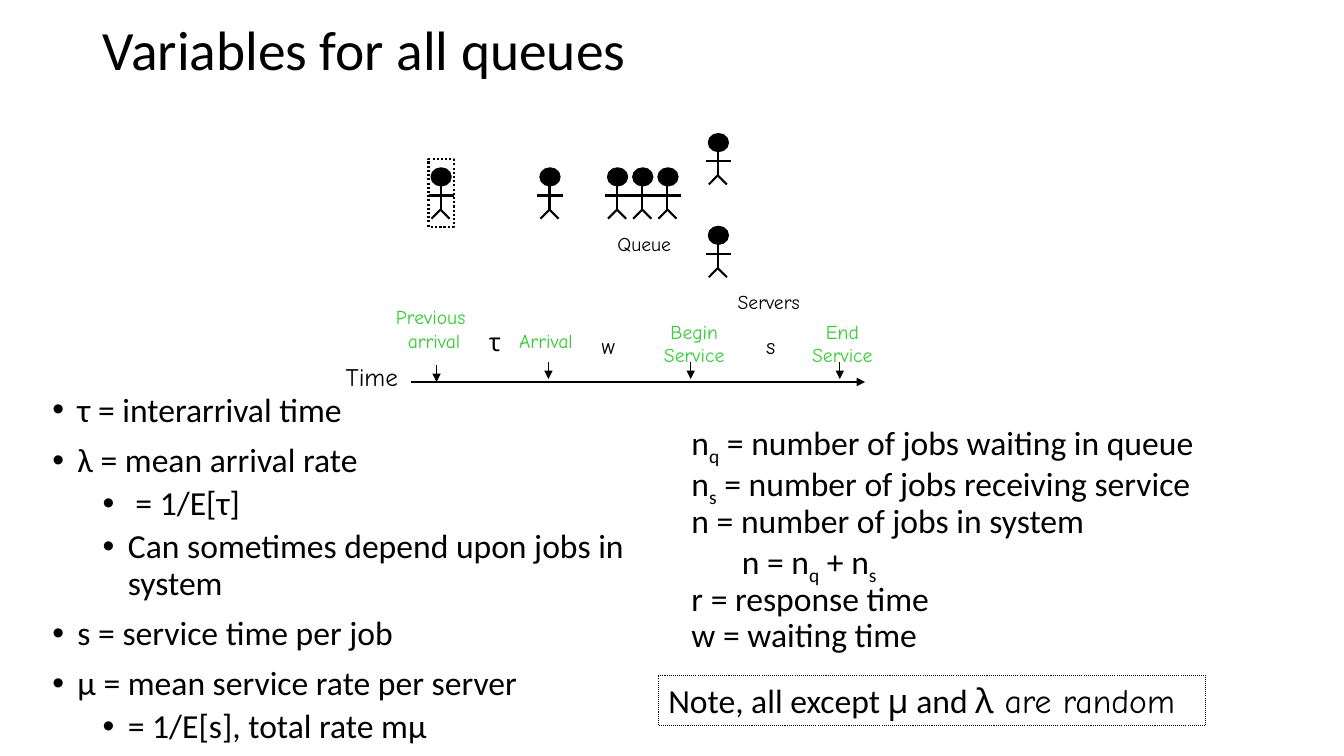
from dataclasses import dataclass

from lxml.etree import SubElement
from pptx import Presentation
from pptx.dml.color import RGBColor
from pptx.enum.dml import MSO_LINE
from pptx.enum.shapes import MSO_CONNECTOR, MSO_SHAPE
from pptx.enum.text import MSO_ANCHOR, PP_ALIGN
from pptx.oxml.ns import qn
from pptx.util import Inches, Pt

BODY, HAND = "Calibri", "Comic Neue"
BLACK, GREEN = "000000", "33CC33"


@dataclass
class Label:
    text: str
    x: float
    y: float
    w: float
    h: float
    size: float = 14
    color: str = BLACK
    align: PP_ALIGN = PP_ALIGN.CENTER


@dataclass
class Person:
    x: float
    y: float = 1.67


@dataclass
class Tick:
    x: float
    y: float = 3.59


@dataclass
class Bullet:
    text: str
    level: int = 0


@dataclass
class Definition:
    pieces: tuple[str, ...]  # plain and subscript text in turn
    level: int = 0


PEOPLE = [Person(4.25), Person(5.33), Person(6), Person(6.25), Person(6.5),
          Person(7, 1.33), Person(7, 2.25)]
TICKS = [Tick(4.33, 3.62), Tick(5.44), Tick(6.85), Tick(8.33)]
LABELS = [
    Label("Queue", 6, 2.25, 0.78, 0.33),
    Label("Servers", 7.16, 2.83, 0.93, 0.33),
    Label("τ", 4.75, 3.19, 0.31, 0.4, 18, align=PP_ALIGN.LEFT),
    Label("w", 5.87, 3.25, 0.37, 0.37, 16, align=PP_ALIGN.LEFT),
    Label("s", 7.5, 3.25, 0.37, 0.37, 16, align=PP_ALIGN.LEFT),
    Label("Time", 3.33, 3.54, 0.77, 0.4, 18, align=PP_ALIGN.LEFT),
    Label("Previous \narrival", 3.8, 2.98, 1.01, 0.57, color=GREEN),
    Label("Arrival", 5, 3.21, 0.83, 0.33, color=GREEN),
    Label("Begin\nService", 6.44, 3.12, 0.89, 0.57, color=GREEN),
    Label("End\nService", 7.91, 3.12, 0.89, 0.57, color=GREEN),
]
BULLETS = [
    Bullet("τ = interarrival time"),
    Bullet("λ = mean arrival rate"),
    Bullet(" = 1/E[τ]", 1),
    Bullet("Can sometimes depend upon jobs in system", 1),
    Bullet("s = service time per job"),
    Bullet("μ = mean service rate per server"),
    Bullet("= 1/E[s], total rate mμ", 1),
]
DEFINITIONS = [
    Definition(("n", "q", " = number of jobs waiting in queue")),
    Definition(("n", "s", " = number of jobs receiving service")),
    Definition(("n = number of jobs in system",)),
    Definition(("n = n", "q", " + n", "s"), 1),
    Definition(("r = response time",)),
    Definition(("w = waiting time",)),
]
NOTE = [("Note, all except ", BODY), ("μ", HAND), (" and ", BODY), ("λ are random", HAND)]


def rgb(color: str) -> RGBColor:
    return RGBColor.from_string(color)


def style(r, size: float, name: str = BODY, color: str = BLACK) -> None:
    r.font.size, r.font.name = Pt(size), name
    r.font.color.rgb = rgb(color)


def add_text_box(s, x: float, y: float, w: float, h: float, wrap: bool = True):
    tf = s.shapes.add_textbox(Inches(x), Inches(y), Inches(w), Inches(h)).text_frame
    tf.word_wrap = wrap
    return tf


def next_paragraph(tf, index: int):
    return tf.add_paragraph() if index else tf.paragraphs[0]


def add_line(s, x1: float, y1: float, x2: float, y2: float,
             width: float = 1.5, arrow: bool = False) -> None:
    c = s.shapes.add_connector(MSO_CONNECTOR.STRAIGHT, Inches(x1), Inches(y1),
                               Inches(x2), Inches(y2))
    c.line.color.rgb = rgb(BLACK)
    c.line.width = Pt(width)
    spPr = c._element.spPr
    if arrow:
        SubElement(spPr.find(qn("a:ln")), qn("a:tailEnd"), type="triangle")
    SubElement(spPr, qn("a:effectLst"))


def add_shape(s, kind: MSO_SHAPE, x: float, y: float, w: float, h: float,
              width: float = 1.5):
    sp = s.shapes.add_shape(kind, Inches(x), Inches(y), Inches(w), Inches(h))
    sp.shadow.inherit = False
    sp.fill.background()
    sp.line.color.rgb = rgb(BLACK)
    sp.line.width = Pt(width)
    return sp


def add_person(s, person: Person) -> None:
    x, y = person.x, person.y
    mid, hip, foot = x + 0.12, y + 0.41, y + 0.5
    head = add_shape(s, MSO_SHAPE.OVAL, x + 0.03, y, 0.19, 0.17)
    head.fill.solid()
    head.fill.fore_color.rgb = rgb(BLACK)
    add_line(s, mid, y + 0.16, mid, hip)
    for side in (-0.09, 0.09):
        add_line(s, mid, hip, mid + side, foot)
    add_line(s, x, y + 0.27, x + 0.25, y + 0.27)


def add_label(s, label: Label) -> None:
    tf = add_text_box(s, label.x, label.y, label.w, label.h, wrap=False)
    tf.text = label.text
    for p in tf.paragraphs:
        p.alignment = label.align
        style(p.runs[0], label.size, HAND, label.color)


def add_bullets(s, bullets: list[Bullet]) -> None:
    tf = add_text_box(s, 0.42, 3.85, 5.91, 2.88)
    for i, bullet in enumerate(bullets):
        p = next_paragraph(tf, i)
        p.text, p.level, p.line_spacing = bullet.text, bullet.level, 0.9
        if i:
            p.space_before = Pt(5 if bullet.level else 10)
        pPr = p._p.get_or_add_pPr()
        pPr.set("marL", str(Inches(0.25 + 0.5 * bullet.level)))
        pPr.set("indent", str(Inches(-0.25)))
        SubElement(pPr, qn("a:buFont"), typeface="Arial")
        SubElement(pPr, qn("a:buChar"), char="•")
        style(p.runs[0], 24)


def add_definitions(s, definitions: list[Definition]) -> None:
    tf = add_text_box(s, 6.76, 4.14, 5.65, 2.28)
    for i, definition in enumerate(definitions):
        p = next_paragraph(tf, i)
        p.level, p.line_spacing = definition.level, 0.9
        p._p.get_or_add_pPr().set("marL", str(Inches(0.5 * definition.level)))
        for j, piece in enumerate(definition.pieces):
            r = p.add_run()
            r.text = piece
            style(r, 24)
            if j % 2:
                r._r.get_or_add_rPr().set("baseline", "-25000")


def add_note(s) -> None:
    sp = add_shape(s, MSO_SHAPE.RECTANGLE, 6.53, 6.7, 5.43, 0.5, 0.75)
    sp.line.dash_style = MSO_LINE.ROUND_DOT
    tf = sp.text_frame
    tf.word_wrap, tf.vertical_anchor = True, MSO_ANCHOR.TOP
    p = tf.paragraphs[0]
    p.alignment = PP_ALIGN.LEFT
    for text, name in NOTE:
        r = p.add_run()
        r.text = text
        style(r, 24, name)


def main() -> None:
    prs = Presentation()
    prs.slide_width, prs.slide_height = Inches(13.33), Inches(7.5)
    s = prs.slides.add_slide(prs.slide_layouts[5])

    # Title
    title = s.shapes.title
    title.left, title.top = Inches(0.92), Inches(0.31)
    title.width, title.height = Inches(11.5), Inches(0.43)
    tf = title.text_frame
    tf.text = "Variables for all queues"
    tf.vertical_anchor = MSO_ANCHOR.MIDDLE
    p = tf.paragraphs[0]
    p.alignment, p.line_spacing = PP_ALIGN.LEFT, 0.9
    style(p.runs[0], 39.6)

    # Variable lists
    add_bullets(s, BULLETS)
    add_definitions(s, DEFINITIONS)

    # Customers, with the previous arrival framed
    for person in PEOPLE:
        add_person(s, person)
    frame = add_shape(s, MSO_SHAPE.RECTANGLE, 4.25, 1.58, 0.25, 0.67)
    frame.line.dash_style = MSO_LINE.ROUND_DOT

    # Time axis and labels
    add_line(s, 4.08, 3.79, 8.58, 3.79, 0.75, arrow=True)
    for tick in TICKS:
        add_line(s, tick.x, tick.y, tick.x, tick.y + 0.17, 0.75, arrow=True)
    for label in LABELS:
        add_label(s, label)

    # Note
    add_note(s)
    prs.save("out.pptx")


if __name__ == "__main__":
    main()
